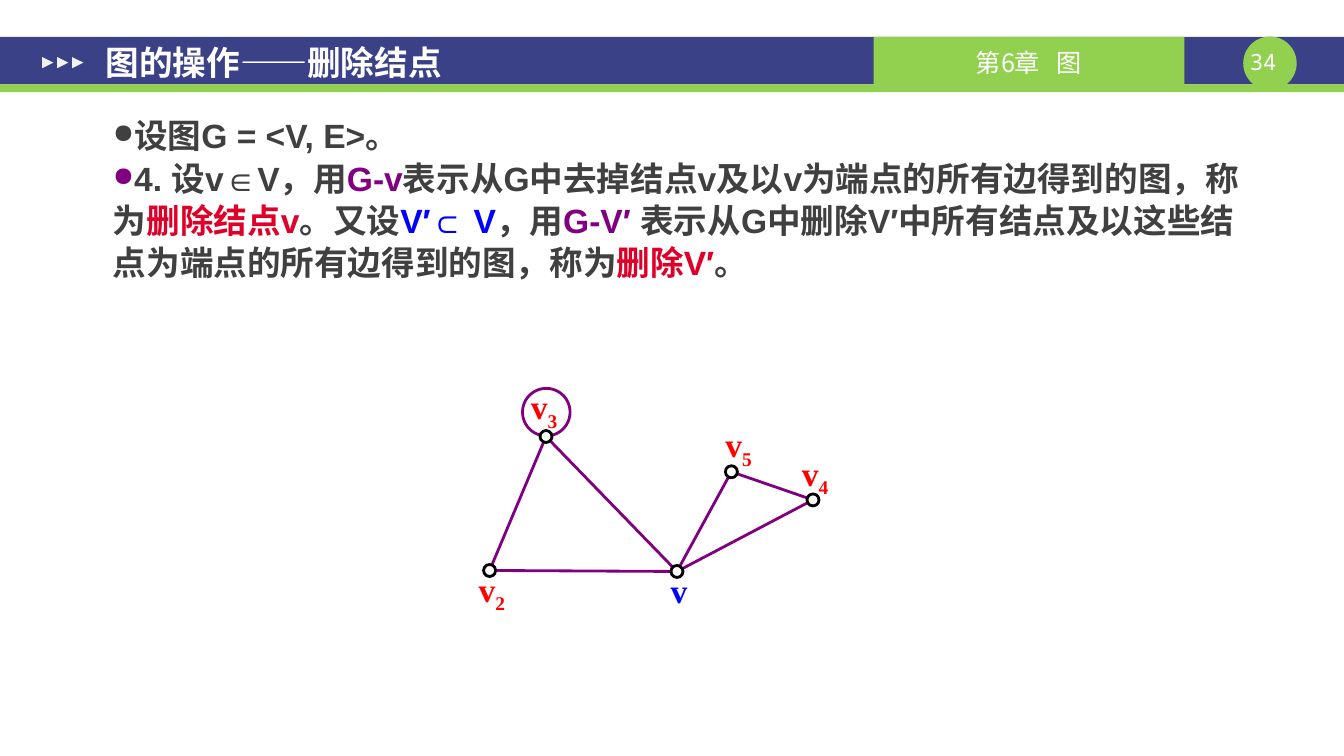
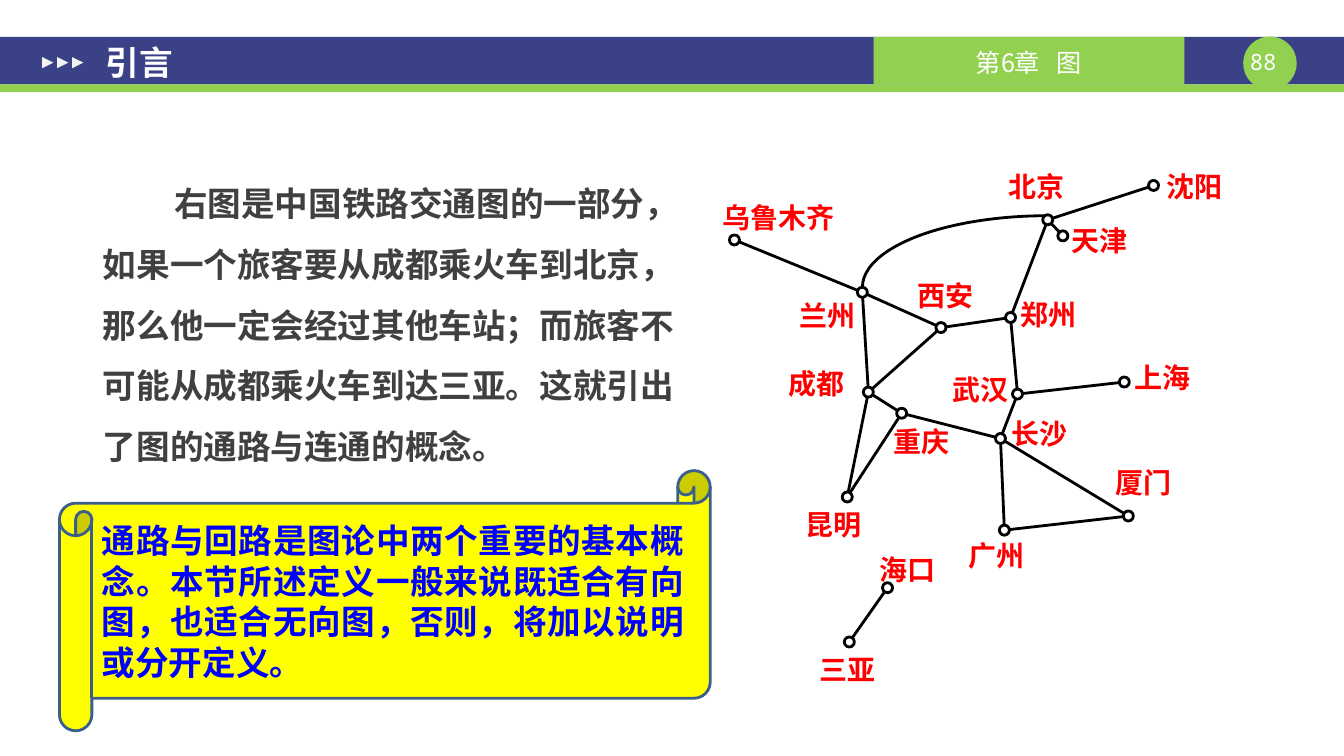
from dataclasses import dataclass

from lxml.etree import SubElement
from pptx import Presentation
from pptx.dml.color import RGBColor
from pptx.enum.shapes import MSO_CONNECTOR as Connector, MSO_SHAPE as Preset
from pptx.enum.text import MSO_ANCHOR as Anchor, PP_ALIGN as Align
from pptx.oxml.ns import qn
from pptx.util import Pt


@dataclass(frozen=True)
class Theme:
    # Colours
    navy: str = "3A4187"
    green: str = "92D050"
    white: str = "FFFFFF"
    pale: str = "F2F2F2"
    gray: str = "404040"
    black: str = "000000"
    purple: str = "800080"
    crimson: str = "DF0029"
    red: str = "FF0000"
    blue: str = "0000FF"
    yellow: str = "FFFF00"
    steel: str = "3A5F8C"
    # Fonts
    sans: str = "Arial"
    serif: str = "Times New Roman"
    mono: str = "Noto Sans Mono"
    chinese: str = "Noto Sans CJK SC"
    # Sizes
    large: int = 24
    label: int = 20
    chapter: int = 18
    number: int = 16
    stroke: int = 2


THEME = Theme()


def write_text(shape, *paragraphs, size=THEME.large, color=THEME.gray, bold=True,
               font=THEME.sans, align=Align.LEFT, anchor=Anchor.TOP, insets=(0, 0, 0, 0),
               wrap=True, line=None, left_indent=0, first_indent=0, bullets=()):
    """Each paragraph is a string or a list of strings and (string, overrides) pairs."""
    frame = shape.text_frame
    frame.word_wrap = wrap
    frame.vertical_anchor = anchor
    (frame.margin_left, frame.margin_top,
     frame.margin_right, frame.margin_bottom) = map(Pt, insets)
    for index, content in enumerate(paragraphs):
        paragraph = frame.add_paragraph() if index else frame.paragraphs[0]
        paragraph.alignment = align
        if line:
            paragraph.line_spacing = Pt(line)
        properties = paragraph._p.get_or_add_pPr()
        properties.set("marL", str(Pt(left_indent)))
        properties.set("indent", str(Pt(first_indent)))
        if bullets:
            tint = SubElement(properties, qn("a:buClr"))
            SubElement(tint, qn("a:srgbClr"), val=bullets[index])
            SubElement(properties, qn("a:buSzPct"), val="80000")
            SubElement(properties, qn("a:buChar"), char="●")
        for part in [content] if isinstance(content, str) else content:
            words, changes = (part, {}) if isinstance(part, str) else part
            run = paragraph.add_run()
            run.text = words
            run.font.name = font
            run.font.size = Pt(size)
            run.font.bold = bold
            run.font.color.rgb = RGBColor.from_string(changes.get("color", color))
            run_properties = run._r.get_or_add_rPr()
            SubElement(run_properties, qn("a:ea"), typeface=THEME.chinese)
            for name in ("baseline", "spc"):
                if name in changes:
                    run_properties.set(name, str(changes[name]))


class Deck:
    def __init__(self, theme):
        self.theme = theme
        self.presentation = Presentation()
        self.presentation.slide_width = Pt(960.48)
        self.presentation.slide_height = Pt(540)
        self.slide = None

    def shape(self, preset, left, top, width, height, fill=None, line=None):
        shape = self.slide.shapes.add_shape(preset, *map(Pt, (left, top, width, height)))
        shape.shadow.inherit = False
        if fill:
            shape.fill.solid()
            shape.fill.fore_color.rgb = RGBColor.from_string(fill)
        else:
            shape.fill.background()
        if line:
            shape.line.color.rgb = RGBColor.from_string(line)
            shape.line.width = Pt(self.theme.stroke)
        else:
            shape.line.fill.background()
        return shape

    def text(self, left, top, width, height, *paragraphs, **style):
        box = self.slide.shapes.add_textbox(*map(Pt, (left, top, width, height)))
        write_text(box, *paragraphs, **style)

    def edge(self, start, end, color):
        connector = self.slide.shapes.add_connector(
            Connector.STRAIGHT, *map(Pt, (*start, *end)))
        connector.line.color.rgb = RGBColor.from_string(color)
        connector.line.width = Pt(self.theme.stroke)
        SubElement(connector._element.spPr, qn("a:effectLst"))

    def circle(self, center, diameter, fill=None, line=None):
        x, y = center
        self.shape(Preset.OVAL, x - diameter / 2, y - diameter / 2,
                   diameter, diameter, fill, line)

    def graph(self, nodes, edges, diameter, color):
        for start, end in edges:
            self.edge(nodes[start], nodes[end], color)
        for center in nodes.values():
            self.circle(center, diameter, self.theme.white, self.theme.black)

    def new_slide(self, title, number):
        theme = self.theme
        self.slide = self.presentation.slides.add_slide(self.presentation.slide_layouts[6])
        # Bands, page number and chapter tab
        self.shape(Preset.RECTANGLE, 0, 26.3, 960.48, 34, theme.navy)
        self.shape(Preset.RECTANGLE, 0, 60.3, 960.48, 5.6, theme.green)
        self.circle((907.6, 45.2), 38.2, theme.green)
        self.text(883.7, 34.4, 38.2, 20, number, size=theme.number, bold=False,
                  font=theme.mono, color=theme.white, align=Align.CENTER, wrap=False)
        chapter = self.shape(Preset.RECTANGLE, 624.4, 26.3, 222, 34, theme.green)
        write_text(chapter, ["第6章", (" ", {"spc": 800}), "图"], size=theme.chapter,
                   bold=False, font=theme.chinese, color=theme.white, align=Align.CENTER,
                   anchor=Anchor.MIDDLE, insets=(7.2, 3, 7.2, 0))
        # Arrow marks and title
        for index in range(3):
            mark = self.shape(Preset.ISOSCELES_TRIANGLE, 30.2 + 10.7 * index, 40.8,
                              7.9, 7.9, theme.pale)
            mark.rotation = 90
        self.text(66.2, 17, 554, 55, title, color=theme.white,
                  anchor=Anchor.MIDDLE, insets=(9.4, 5, 9.4, 5))


def build_vertex_deletion(deck):
    theme = deck.theme
    deck.new_slide("图的操作——删除结点", "34")
    purple, crimson, blue = ({"color": color} for color in
                             (theme.purple, theme.crimson, theme.blue))
    # Definitions
    deck.text(
        35.3, 76, 877, 210,
        "设图G = <V, E>。",
        ["4. 设v∈V，用", ("G-v", purple),
         "表示从G中去掉结点v及以v为端点的所有边得到的图，称为", ("删除结点v", crimson),
         "。又设", ("V′⊂ V", blue), "，用", ("G-V′ ", purple),
         "表示从G中删除V′中所有结点及以这些结点为端点的所有边得到的图，称为",
         ("删除V′", crimson), "。"],
        insets=(9.4, 5, 9.4, 5), line=30.2, left_indent=36,
        bullets=(theme.gray, theme.purple))
    # Graph with a loop at v3
    nodes = {"v2": (349.9, 407.5), "v3": (390.2, 311.8), "v": (483.8, 408.2),
             "v4": (581, 357.1), "v5": (522.7, 337)}
    edges = [("v2", "v"), ("v4", "v"), ("v5", "v"), ("v3", "v"), ("v5", "v4"), ("v3", "v2")]
    deck.circle((390.4, 294.4), 34, line=theme.purple)
    deck.graph(nodes, edges, 8.6, theme.purple)
    # Node labels
    labels = {"v2": (342, 406.1), "v3": (379.4, 275.8), "v": (479.2, 406.8),
              "v4": (573.1, 323.3), "v5": (518.4, 303.1)}
    for name, (left, top) in labels.items():
        letter, digit = name[0], name[1:]
        parts = [letter, (digit, {"baseline": -25000})] if digit else [letter]
        deck.text(left, top, 26, 29, parts, font=theme.serif, wrap=False,
                  color=theme.red if digit else theme.blue)


def build_introduction(deck):
    theme = deck.theme
    deck.new_slide("引言", "88")
    # Introduction
    deck.text(
        64.1, 111.5, 445.7, 268,
        "右图是中国铁路交通图的一部分，如果一个旅客要从成都乘火车到北京，那么他一定会经过"
        "其他车站；而旅客不可能从成都乘火车到达三亚。这就引出了图的通路与连通的概念。",
        insets=(9.4, 5, 9.4, 5), line=43.3, first_indent=51)
    # Railway map: node centre, then top left of its label
    cities = {
        "乌鲁木齐": ((524.9, 171.4), (516.2, 141.1)),
        "兰州": ((616.3, 208.8), (571, 211)),
        "西安": ((672.5, 234), (655.9, 196.6)),
        "郑州": ((722.2, 226.8), (729.4, 210.2)),
        "北京": ((748.8, 157), (720.7, 118.8)),
        "天津": ((759.6, 168.5), (766.1, 157.7)),
        "沈阳": ((824.4, 132.5), (833.8, 118.8)),
        "成都": ((620.6, 280.1), (563.8, 259.9)),
        "重庆": ((644.4, 295.2), (638.6, 301)),
        "武汉": ((727.2, 281.5), (680.4, 264.2)),
        "上海": ((803.5, 272.9), (810.7, 255.6)),
        "长沙": ((715, 313.2), (722.9, 295.2)),
        "昆明": ((605.5, 355), (576, 360.7)),
        "广州": ((717.8, 378.7), (691.9, 383)),
        "厦门": ((806.4, 368.6), (797, 330.5)),
        "海口": ((634.3, 419.8), (628.6, 392.4)),
        "三亚": ((607, 458.6), (585.4, 464.4)),
    }
    railways = [
        ("乌鲁木齐", "兰州"), ("兰州", "西安"), ("兰州", "成都"), ("西安", "成都"),
        ("西安", "郑州"), ("北京", "郑州"), ("北京", "天津"), ("北京", "沈阳"),
        ("郑州", "武汉"), ("武汉", "上海"), ("武汉", "长沙"), ("成都", "重庆"),
        ("成都", "昆明"), ("重庆", "昆明"), ("重庆", "长沙"), ("长沙", "广州"),
        ("长沙", "厦门"), ("厦门", "广州"), ("海口", "三亚"),
    ]
    # Curved line 兰州–北京: the upper left quarter of an ellipse
    curve = deck.shape(Preset.ARC, 616.3, 154.1, 263.6, 102.2, line=theme.black)
    curve.adjustments[0], curve.adjustments[1] = 108, 162
    deck.graph({city: center for city, (center, _) in cities.items()},
               railways, 7.2, theme.black)
    for city, (_, (left, top)) in cities.items():
        deck.text(left, top, 20 * len(city) + 8, 35, city, size=theme.label,
                  color=theme.red, wrap=False, line=26)
    # Scroll
    scroll = deck.shape(Preset.HORIZONTAL_SCROLL, 42.5, 336.2, 465.1, 185.8,
                        theme.yellow, theme.steel)
    write_text(
        scroll,
        "通路与回路是图论中两个重要的基本概念。本节所述定义一般来说既适合有向图，"
        "也适合无向图，否则，将加以说明或分开定义。",
        color=theme.blue, align=Align.JUSTIFY, anchor=Anchor.MIDDLE,
        insets=(7.2, 3.6, 7.2, 3.6), line=29)


def main():
    deck = Deck(THEME)
    build_vertex_deletion(deck)
    build_introduction(deck)
    deck.presentation.save("out.pptx")


if __name__ == "__main__":
    main()
